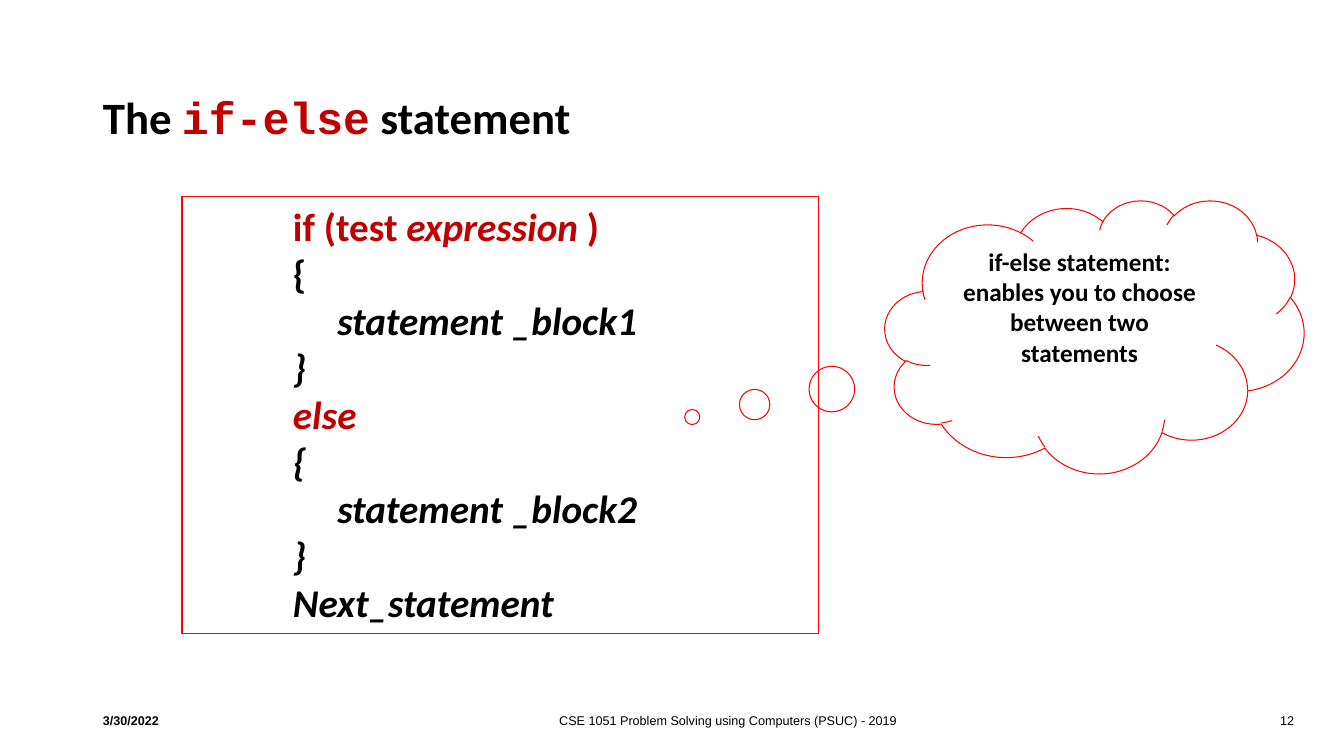
from dataclasses import dataclass

from pptx import Presentation
from pptx.dml.color import RGBColor
from pptx.enum.shapes import MSO_SHAPE as SHAPE
from pptx.enum.text import MSO_ANCHOR as ANCHOR, PP_ALIGN as ALIGN
from pptx.util import Emu, Pt

EMU_PER_PX = 914400 / 100.8


def px(n):
    return Emu(round(n * EMU_PER_PX))


@dataclass(frozen=True)
class Theme:
    ink: RGBColor = RGBColor(0x00, 0x00, 0x00)
    keyword: RGBColor = RGBColor(0xC0, 0x00, 0x00)
    outline: RGBColor = RGBColor(0xFF, 0x00, 0x00)
    body: str = "Calibri"
    mono: str = "Courier New"
    small: str = "Arial"
    title_pt: int = 32
    code_pt: int = 28
    note_pt: int = 18
    footer_pt: int = 9
    line_pt: float = 0.75


class Deck:
    def __init__(self, theme, width, height):
        self.theme = theme
        self.prs = Presentation()
        self.prs.slide_width, self.prs.slide_height = px(width), px(height)
        self.s = self.prs.slides.add_slide(self.prs.slide_layouts[6])

    def fill_text(self, tf, lines, size, font, bold=True, align=ALIGN.LEFT):
        """Each line is a list of (text, style) runs."""
        tf.word_wrap = True
        for i, runs in enumerate(lines):
            p = tf.add_paragraph() if i else tf.paragraphs[0]
            p.alignment = align
            p.font.size, p.font.name, p.font.bold = Pt(size), font, bold
            p.font.color.rgb = self.theme.ink
            for text, style in runs:
                r = p.add_run()
                r.text = text
                if "color" in style:
                    r.font.color.rgb = style["color"]
                if "font" in style:
                    r.font.name = style["font"]
                if "italic" in style:
                    r.font.italic = style["italic"]

    def text(self, box, lines, size, font, **style):
        tf = self.s.shapes.add_textbox(*map(px, box)).text_frame
        tf.vertical_anchor = ANCHOR.MIDDLE
        self.fill_text(tf, lines, size, font, **style)
        return tf

    def outlined(self, kind, box, lines, size, font, **style):
        sp = self.s.shapes.add_shape(kind, *map(px, box))
        sp.shadow.inherit = False
        sp.fill.background()
        sp.line.color.rgb = self.theme.outline
        sp.line.width = Pt(self.theme.line_pt)
        sp.text_frame.vertical_anchor = ANCHOR.TOP
        self.fill_text(sp.text_frame, lines, size, font, **style)
        return sp


def main():
    t = Theme()
    deck = Deck(t, 1344, 756)
    red, italic = {"color": t.keyword}, {"italic": True}
    red_italic = red | italic

    # Title
    title = [("The ", {}), ("if-else", red | {"font": t.mono}), (" statement", {})]
    tf = deck.text((93, 92, 1159, 56), [title], t.title_pt, t.body)
    tf.paragraphs[0].line_spacing = 0.9

    # Footer
    footers = [
        ((93, 701, 127, 40), "3/30/2022", True, ALIGN.LEFT),
        ((244, 701, 968, 40), "CSE 1051 Problem Solving using Computers (PSUC) - 2019",
         False, ALIGN.CENTER),
        ((1252, 701, 52, 40), "12", False, ALIGN.RIGHT),
    ]
    for box, text, bold, align in footers:
        deck.text(box, [[(text, {})]], t.footer_pt, t.small, bold=bold, align=align)

    # Thought cloud
    note = "if-else statement: enables you to choose between two statements"
    cloud = deck.outlined(SHAPE.CLOUD_CALLOUT, (885, 200, 419, 273), [[(note, {})]],
                          t.note_pt, t.body, align=ALIGN.CENTER)
    cloud.adjustments[0], cloud.adjustments[1] = -0.96, 0.295

    # Syntax box
    code = [
        [("if (test ", red), ("expression ", red_italic), (")", red)],
        [("{", {})],
        [("     statement _block1", italic)],
        [("}", italic)],
        [("else", red_italic)],
        [("{", italic)],
        [("     statement _block2", italic)],
        [("}", italic)],
        [("Next_statement", italic)],
    ]
    syntax = deck.outlined(SHAPE.RECTANGLE, (182, 197, 637, 437), code, t.code_pt, t.body)
    syntax.text_frame.margin_left = px(111)

    deck.prs.save("out.pptx")


if __name__ == "__main__":
    main()
